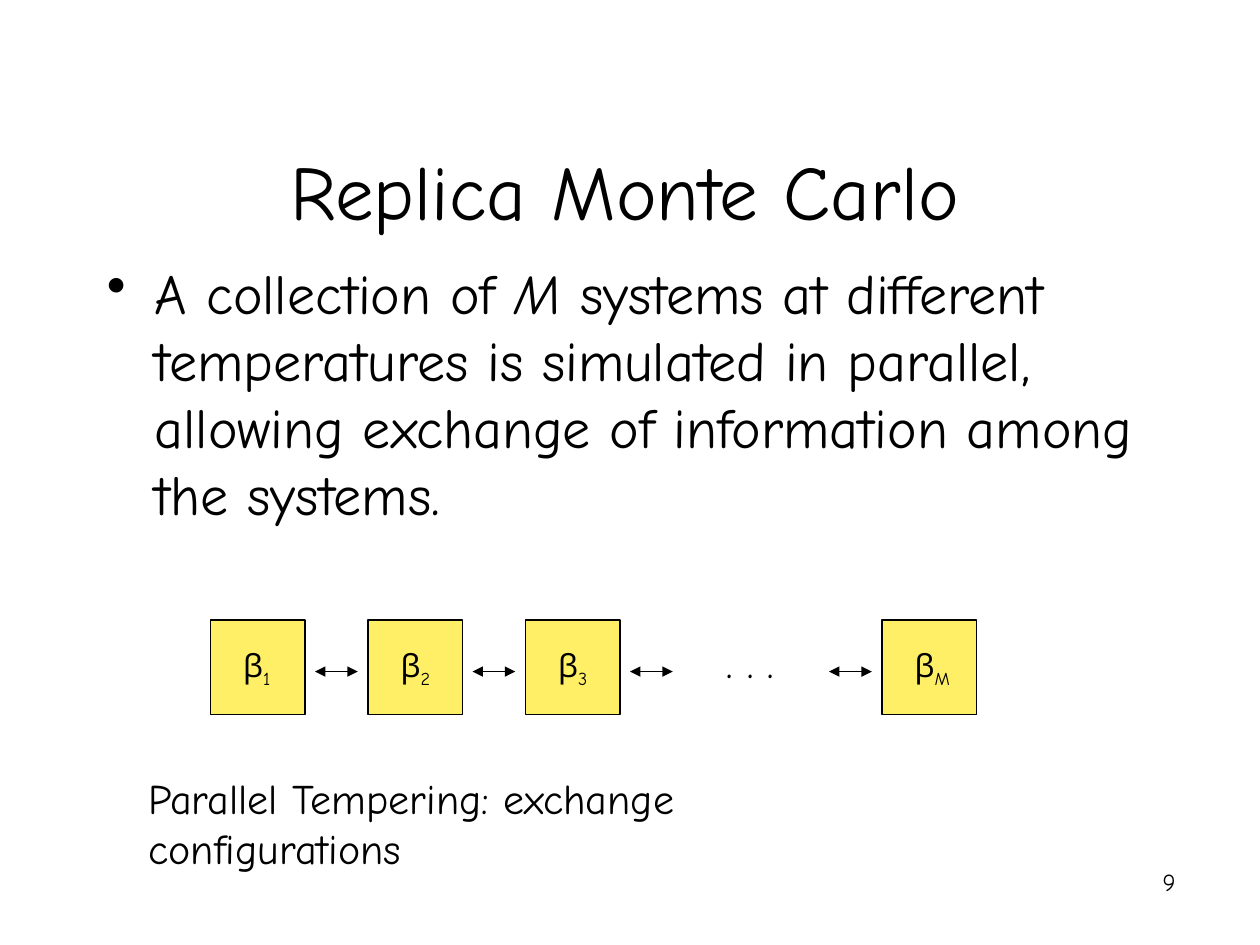
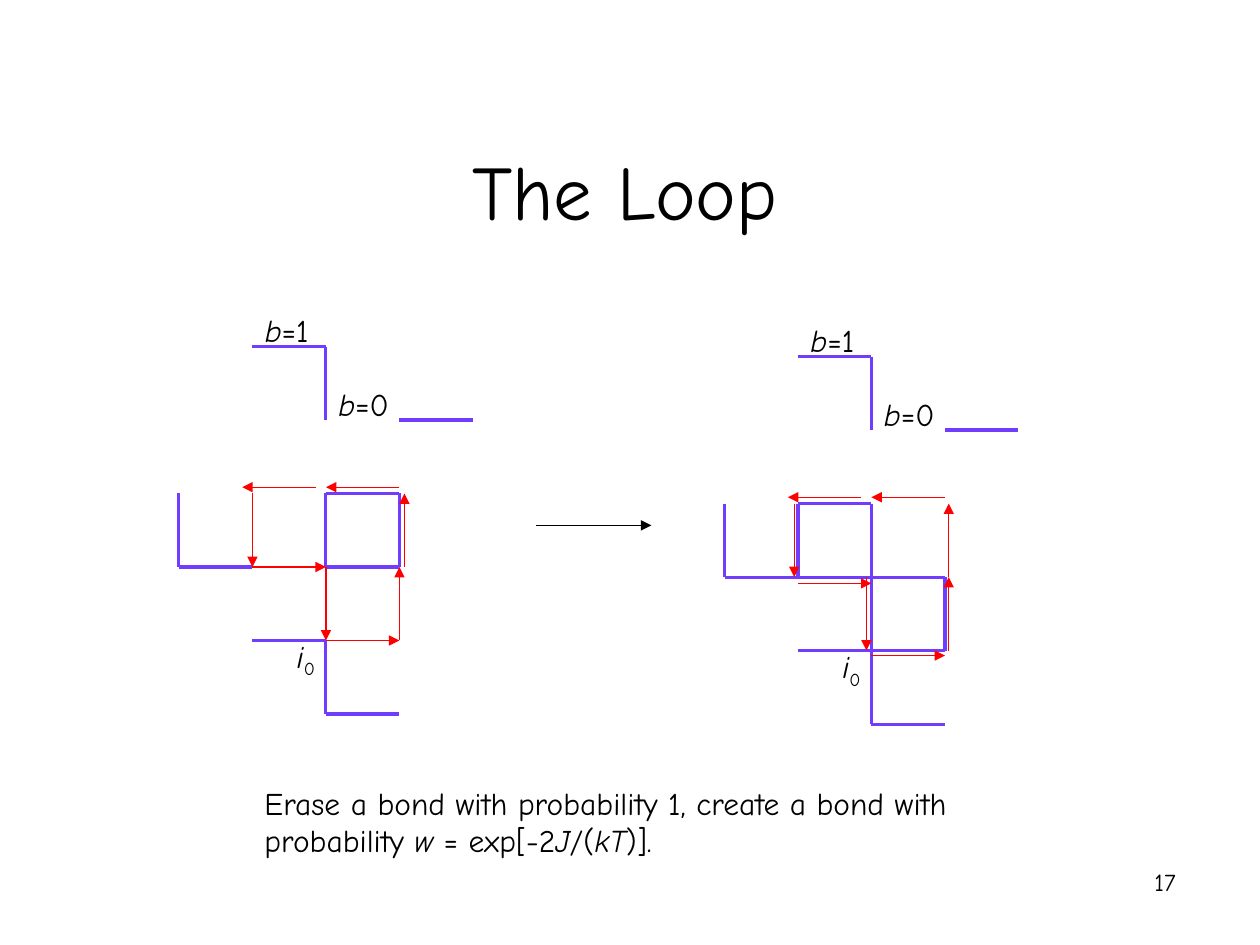
from dataclasses import dataclass

from lxml import etree
from pptx import Presentation
from pptx.dml.color import RGBColor
from pptx.enum import shapes as sh, text as tx
from pptx.oxml.ns import qn
from pptx.util import Inches, Pt


@dataclass(frozen=True)
class Theme:
    font: str = "Comic Neue"
    ink: str = "000000"
    box: str = "FFEF66"
    bond: str = "703DFF"
    loop: str = "FF0000"
    head: int = 44
    body: int = 32
    note: int = 24
    label: int = 18
    foot: int = 14
    thin: float = 0.75
    thick: float = 1.75


T = Theme()
LEFT, MID, RIGHT = tx.PP_ALIGN.LEFT, tx.PP_ALIGN.CENTER, tx.PP_ALIGN.RIGHT
TOP, LOW = tx.MSO_ANCHOR.TOP, tx.MSO_ANCHOR.BOTTOM

# Lattice geometry: grid points are (column, row), one step apart
STEP = 7 / 12
SHARED = [
    [(1, 0), (2, 0), (2, 1)],
    [(3, 1), (4, 1)],
    [(0, 2), (0, 3), (1, 3)],
    [(2, 2), (2, 3), (3, 3)],
    [(1, 4), (2, 4), (2, 5), (3, 5)],
]
BEFORE = [[(2, 2), (3, 2), (3, 3)]]
AFTER = [
    [(2, 2), (1, 2), (1, 3), (2, 3), (2, 4), (3, 4), (3, 3)],
]
LOOP = [(2, 4), (3, 4), (3, 3), (3, 2), (2, 2), (1, 2), (1, 3), (2, 3), (2, 4)]

# Shift of each loop arrow off its bond, in inches
OLD_OFF = [(0, 0), (0, 0), (0.04, 0), (0, -0.05),
           (-0.08, -0.05), (0, 0), (0, 0), (0, 0)]
NEW_OFF = [(0, 0.04), (0.03, 0), (0.03, 0), (0, -0.05),
           (-0.08, -0.05), (-0.03, 0), (0, 0.05), (-0.04, 0)]


def color(code):
    return RGBColor.from_string(code)


def write(frame, runs, size=T.label, align=LEFT, anchor=TOP,
          pad=(0.1, 0.05), bullet=False):
    """Fill a frame; runs is a string or (text, style) pairs."""
    frame.word_wrap = True
    frame.auto_size = tx.MSO_AUTO_SIZE.NONE
    frame.vertical_anchor = anchor
    frame.margin_left, frame.margin_top = Inches(pad[0]), Inches(pad[1])
    frame.margin_right, frame.margin_bottom = Inches(0.1), Inches(0.05)
    para = frame.paragraphs[0]
    para.alignment = align
    if bullet:
        props = para._p.get_or_add_pPr()
        props.set("marL", str(Inches(0.38)))
        props.set("indent", str(Inches(-0.38)))
        etree.SubElement(props, qn("a:buChar")).set("char", "•")
    for words, style in [(runs, "")] if isinstance(runs, str) else runs:
        run = para.add_run()
        run.text = words
        run.font.name, run.font.size = T.font, Pt(size)
        run.font.color.rgb = color(T.ink)
        run.font.italic = style == "italic"
        if style == "sub":
            run._r.get_or_add_rPr().set("baseline", "-25000")


def note(slide, x, y, w, h, runs, **look):
    box = slide.shapes.add_textbox(*map(Inches, (x, y, w, h)))
    write(box.text_frame, runs, **look)


def line(slide, start, end, tint=T.ink, width=T.thin, ends=()):
    """Draw a straight line; ends names the ends that get an arrowhead."""
    link = slide.shapes.add_connector(
        sh.MSO_CONNECTOR.STRAIGHT, *map(Inches, (*start, *end)))
    link.line.color.rgb = color(tint)
    link.line.width = Pt(width)
    for end_tag in ends:
        tip = etree.SubElement(link.line._get_or_add_ln(), qn(end_tag))
        tip.set("type", "triangle")
    etree.SubElement(link._element.spPr, qn("a:effectLst"))


def arrow(slide, start, end, tint=T.ink, both=False):
    ends = ("a:headEnd", "a:tailEnd") if both else ("a:tailEnd",)
    line(slide, start, end, tint, ends=ends)


def square(slide, x, y, side, sub):
    """Draw one replica, marked with its inverse temperature."""
    box = slide.shapes.add_shape(
        sh.MSO_SHAPE.RECTANGLE, *map(Inches, (x, y, side, side)))
    box.shadow.inherit = False
    box.fill.solid()
    box.fill.fore_color.rgb = color(T.box)
    box.line.color.rgb = color(T.ink)
    box.line.width = Pt(T.thin)
    write(box.text_frame, [("β", ""), (sub, "sub")], pad=(0.26, 0.21))


def lattice(slide, left, top, bonds, shifts):
    """Draw the bonds, the loop around them and the labels."""
    def spot(point, off=(0, 0)):
        return (left + point[0] * STEP + off[0],
                top + point[1] * STEP + off[1])

    for chain in SHARED + bonds:
        for a, b in zip(chain, chain[1:]):
            line(slide, spot(a), spot(b), T.bond, T.thick)
    for a, b, off in zip(LOOP, LOOP[1:], shifts):
        arrow(slide, spot(a, off), spot(b, off), T.loop)
    for point, value in (((1, 0), "=1"), ((2, 1), "=0")):
        x, y = spot(point, (0, -0.33))
        note(slide, x, y, 0.75, 0.4, [("b", "italic"), (value, "")])
    x, y = spot((2, 4), (-0.33, -0.08))
    note(slide, x, y, 0.6, 0.44, [("i", "italic"), ("0", "sub")])


def page(deck, title, number):
    """Add a slide with its title and page number."""
    slide = deck.slides.add_slide(deck.slide_layouts[5])
    head = slide.shapes.title
    head.left, head.top = Inches(0.75), Inches(0.17)
    head.width, head.height = Inches(8.42), Inches(1.75)
    write(head.text_frame, title, size=T.head, align=MID, anchor=LOW)
    note(slide, 7.35, 6.83, 2.08, 0.5, number, size=T.foot, align=RIGHT)
    return slide


def replica(deck):
    slide = page(deck, "Replica Monte Carlo", "9")
    note(slide, 0.75, 2, 8.42, 2.4, [
        ("A collection of ", ""), ("M", "italic"),
        (" systems at different temperatures is simulated in parallel, "
         "allowing exchange of information among the systems.", ""),
    ], size=T.body, bullet=True)

    # Row of replicas with exchange arrows
    first, pitch, last = 1.67, 1.25, 7
    spots = [first + i * pitch for i in range(3)] + [last]
    for x, sub in zip(spots, "123M"):
        square(slide, x, 4.92, 0.75, sub)
    for x in [first + i * pitch for i in range(1, 4)] + [last]:
        arrow(slide, (x - 0.42, 5.33), (x - 0.08, 5.33), both=True)
    note(slide, 5.67, 5, 1.25, 0.5, ". . .", size=T.note)

    note(slide, 1.08, 6.08, 4.75, 0.9,
         "Parallel Tempering: exchange configurations", size=T.note)


def loop(deck):
    slide = page(deck, "The Loop", "17")
    lattice(slide, 1.42, 2.75, BEFORE, OLD_OFF)
    arrow(slide, (4.25, 4.17), (5.17, 4.17))
    lattice(slide, 5.75, 2.83, AFTER, NEW_OFF)
    note(slide, 2, 6.17, 5.67, 0.7, [
        ("Erase a bond with probability 1, create a bond with "
         "probability ", ""),
        ("w", "italic"), (" = exp[-2", ""), ("J", "italic"),
        ("/(", ""), ("kT", "italic"), (")].", ""),
    ])


def main():
    deck = Presentation()
    deck.slide_width, deck.slide_height = Inches(10), Inches(7.5)
    replica(deck)
    loop(deck)
    deck.save("out.pptx")


if __name__ == "__main__":
    main()
